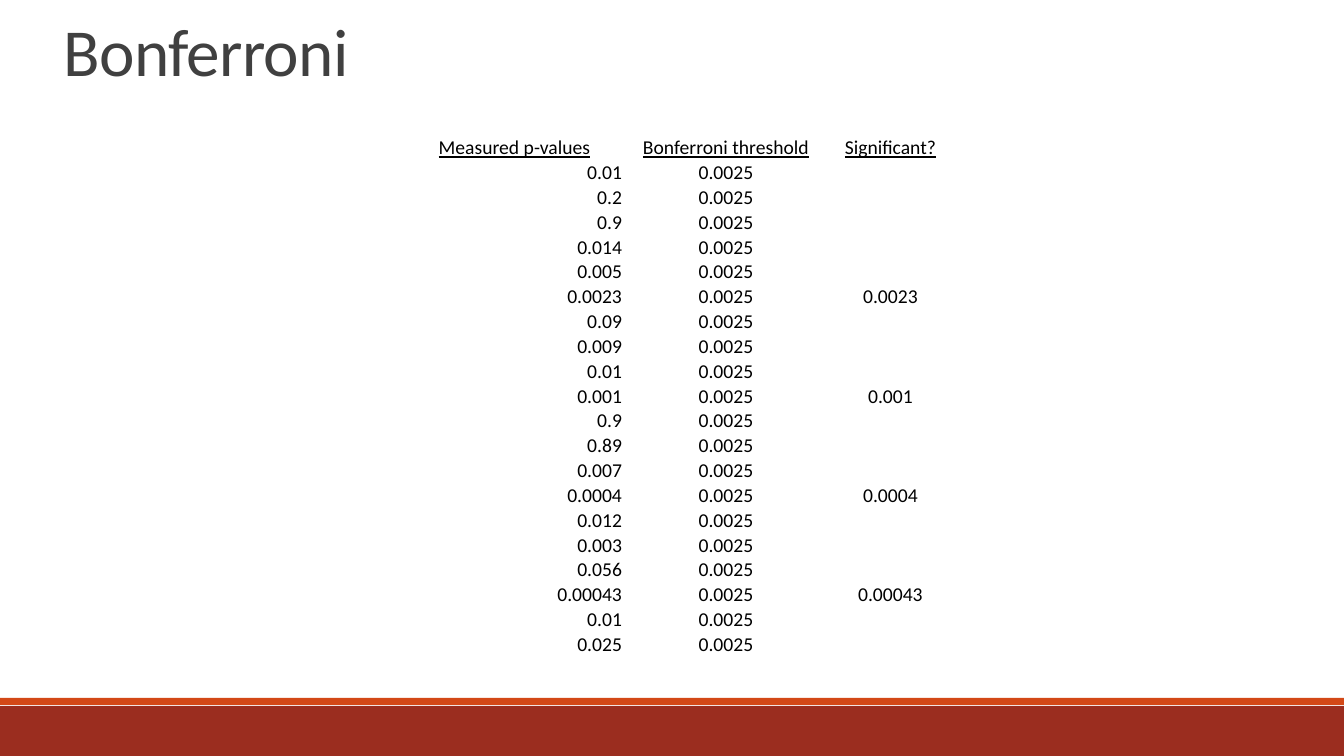
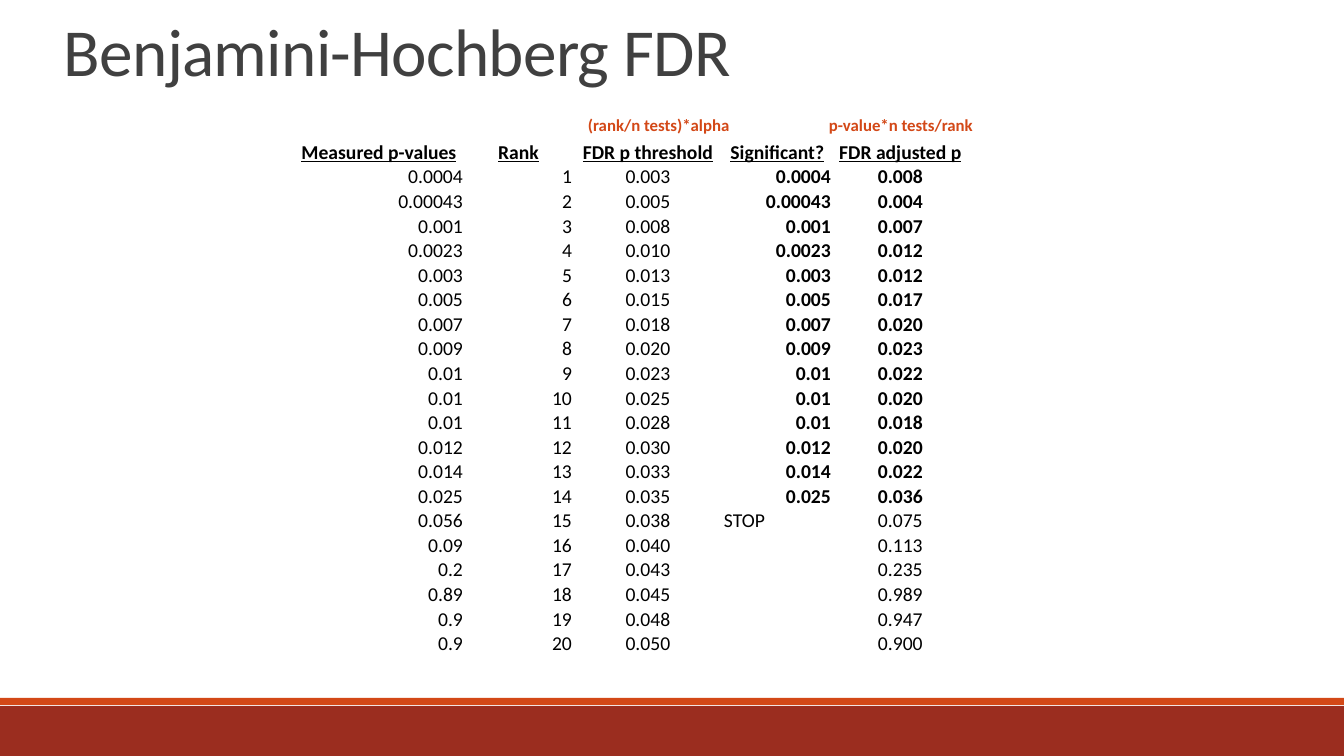
import pptx
import pptx.util
import pptx.dml.color
import pptx.enum.shapes
import pptx.enum.text
import pptx.oxml.ns
import lxml.etree

PX = 914400 / 100.8
FONT = "Calibri"
COLORS = {"title": "404040", "text": "000000", "accent": "D34817", "band": "9B2D1F"}
ALIGN = {
    "l": pptx.enum.text.PP_ALIGN.LEFT,
    "c": pptx.enum.text.PP_ALIGN.CENTER,
    "r": pptx.enum.text.PP_ALIGN.RIGHT,
}
BOTTOM = pptx.enum.text.MSO_ANCHOR.BOTTOM


def px(*lengths):
    return [pptx.util.Emu(round(n * PX)) for n in lengths]


def write(tf, text, size=14, color="text", align="l", bold=False, underline=False,
          line_spacing=None, spacing=None):
    p = tf.paragraphs[0]
    p.alignment = ALIGN[align]
    if line_spacing:
        p.line_spacing = line_spacing
    if not text:
        end = lxml.etree.SubElement(p._p, pptx.oxml.ns.qn("a:endParaRPr"))
        end.set("sz", str(size * 100))
        return
    r = p.add_run()
    r.text = text
    r.font.name = FONT
    r.font.size = pptx.util.Pt(size)
    r.font.bold = bold
    r.font.underline = underline
    r.font.color.rgb = pptx.dml.color.RGBColor.from_string(COLORS[color])
    if spacing:
        r._r.get_or_add_rPr().set("spc", str(spacing))


p_values = ["0.01", "0.2", "0.9", "0.014", "0.005", "0.0023", "0.09", "0.009", "0.01", "0.001",
            "0.9", "0.89", "0.007", "0.0004", "0.012", "0.003", "0.056", "0.00043", "0.01", "0.025"]
alpha = 0.05
n = len(p_values)
tiny = 1e-9

bonferroni = alpha / n
bonferroni_rows = [
    [(v, False), (f"{bonferroni:.4f}", False), (v if float(v) < bonferroni else "", False)]
    for v in p_values
]

fdr_rows = []
stopped = False
for rank, v in enumerate(sorted(p_values, key=float), 1):
    threshold = rank / n * alpha
    adjusted = float(v) * n / rank
    significant = float(v) <= threshold
    mark = v if significant else "" if stopped else "STOP"
    stopped = stopped or not significant
    fdr_rows.append([(v, False), (str(rank), False), (f"{threshold + tiny:.3f}", False),
                     (mark, significant), (f"{adjusted + tiny:.3f}", significant)])

slides = [
    {"title": "Bonferroni", "captions": [], "left": 406, "top": 135, "height": 522,
     "widths": [217, 206, 123], "aligns": "rcc", "bold_header": False,
     "header": ["Measured p-values", "Bonferroni threshold", "Significant?"],
     "rows": bonferroni_rows},
    {"title": "Benjamini-Hochberg FDR",
     "captions": [("(rank/n tests)*alpha", 578), ("p-value*n tests/rank", 819)],
     "left": 294, "top": 140, "height": 516,
     "widths": [170, 109, 150, 109, 137], "aligns": "rrcrc", "bold_header": True,
     "header": ["Measured p-values", "Rank", "FDR p threshold", "Significant?", "FDR adjusted p"],
     "rows": fdr_rows},
]
bands = [(706, 50, "band"), (698, 7, "accent")]

prs = pptx.Presentation()
prs.slide_width, prs.slide_height = px(1344, 756)

for data in slides:
    slide = prs.slides.add_slide(prs.slide_layouts[6])

    for top, height, color in bands:
        sp = slide.shapes.add_shape(pptx.enum.shapes.MSO_SHAPE.RECTANGLE, *px(0, top, 1344, height))
        sp.shadow.inherit = False
        sp.fill.solid()
        sp.fill.fore_color.rgb = pptx.dml.color.RGBColor.from_string(COLORS[color])
        sp.line.fill.background()

    tf = slide.shapes.add_textbox(*px(54, 8, 1109, 87)).text_frame
    tf.word_wrap = True
    tf.vertical_anchor = BOTTOM
    write(tf, data["title"], size=48, color="title", line_spacing=0.85, spacing=-50)

    for text, left in data["captions"]:
        tf = slide.shapes.add_textbox(*px(left, 110, 164, 30)).text_frame
        tf.word_wrap = False
        tf.auto_size = pptx.enum.text.MSO_AUTO_SIZE.SHAPE_TO_FIT_TEXT
        write(tf, text, size=12, color="accent", bold=True)

    header = [(text, data["bold_header"]) for text in data["header"]]
    rows = [header] + data["rows"]
    widths = data["widths"]
    table = slide.shapes.add_table(
        len(rows), len(widths), *px(data["left"], data["top"], sum(widths), data["height"])).table
    table.first_row = False
    table.horz_banding = False
    for column, width in zip(table.columns, px(*widths)):
        column.width = width
    for i, row in enumerate(rows):
        for j, (text, bold) in enumerate(row):
            cell = table.cell(i, j)
            cell.fill.background()
            cell.vertical_anchor = BOTTOM
            cell.margin_left, cell.margin_right, cell.margin_top, cell.margin_bottom = px(1, 1, 0, 0)
            align = "c" if i == 0 else "l" if text == "STOP" else data["aligns"][j]
            write(cell.text_frame, text, align=align, bold=bold, underline=i == 0)

prs.save("out.pptx")
